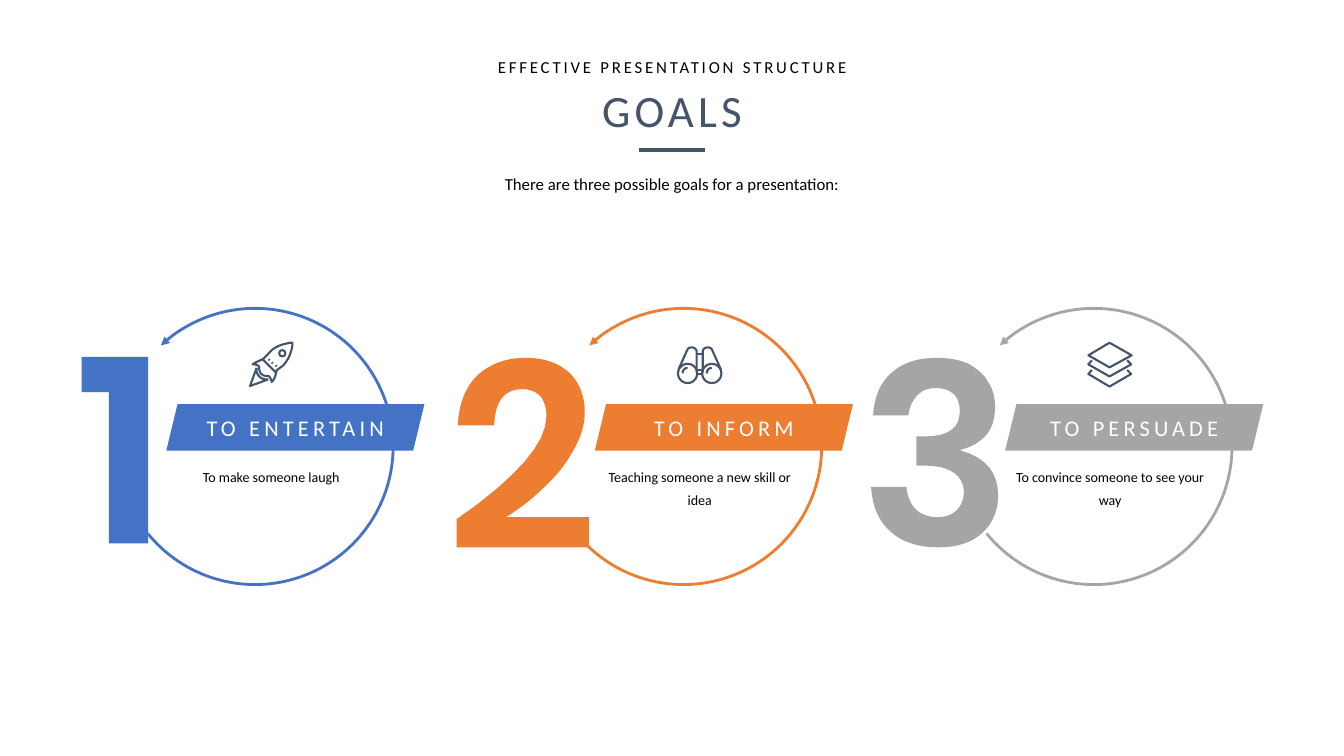
import pptx
import pptx.util
import pptx.dml.color
import pptx.enum.shapes
import pptx.enum.text
import pptx.oxml
import pptx.oxml.ns

PX = 9144  # EMU in one px, 100 px to the inch
FINE = 10  # outline units in one px
FONT = "Calibri"
BLACK, WHITE, NAVY = "000000", "FFFFFF", "44546A"

TITLE = "GOALS"
TOPIC = "EFFECTIVE PRESENTATION STRUCTURE"
INTRO = "There are three possible goals for a presentation:"

# Digit outlines in px, icon outlines in tenths of a px
ONE = "M 0 0 L 66 0 L 66 185 L 27 185 L 27 35 L 0 35 Z"
TWO = """M 68 0 C 87 0 101 5 112 15 C 122 25 127 38 127 54 C 127 67 123 80 115 93
C 108 106 98 118 86 129 C 75 140 62 150 49 158 L 131 158 L 131 188 L 0 188 L 0 160
C 59 119 89 85 89 58 C 89 50 87 43 83 38 C 79 34 73 31 65 31 C 47 31 38 43 37 67
L 1 67 C 2 45 9 28 21 17 C 33 6 49 0 68 0 Z"""
THREE = """M 65 0 C 77 0 88 2 97 6 C 105 11 112 16 116 24 C 121 31 123 40 123 49
C 123 60 120 70 114 77 C 107 84 99 89 89 91 L 89 92 C 114 99 126 114 126 136
C 126 151 121 164 111 173 C 101 183 86 188 67 188 C 47 188 31 183 20 173
C 8 163 1 148 0 128 L 35 128 C 36 137 39 145 44 150 C 49 155 56 158 66 158
C 74 158 80 156 85 151 C 89 147 92 141 92 133 C 92 125 88 118 82 114
C 75 109 65 107 53 107 L 45 107 L 45 78 L 53 78 C 76 78 88 70 88 53
C 88 46 86 40 82 36 C 77 32 72 30 64 30 C 57 30 51 32 46 37
C 41 42 38 49 37 57 L 2 57 C 3 39 9 25 20 15 C 31 5 46 0 65 0 Z"""
ROCKET = """M 440 10 C 390 10 270 40 220 100 C 200 125 170 155 145 175 L 270 300
C 290 275 325 255 350 235 C 420 160 445 50 440 10 Z
M 145 175 C 110 190 75 205 45 225 C 70 225 95 230 110 245 C 105 330 160 345 205 340
C 220 355 230 375 235 400 C 260 375 275 340 280 295
M 85 260 L 20 440 L 200 375 M 85 260 C 70 320 130 385 200 375
M 310 115 C 310 75 370 75 370 115 C 370 155 310 155 310 115 Z
M 205 175 L 215 185 M 235 205 L 245 215 M 275 235 L 285 245"""
GLASSES = """M 15 275 C 15 222 57 180 110 180 C 163 180 205 222 205 275
C 205 328 163 370 110 370 C 57 370 15 328 15 275 Z
M 255 275 C 255 222 297 180 350 180 C 403 180 445 222 445 275
C 445 328 403 370 350 370 C 297 370 255 328 255 275 Z
M 20 235 L 105 45 C 120 0 200 10 200 60 L 200 265
M 440 235 L 355 45 C 340 0 260 10 260 60 L 260 265
M 200 80 L 260 80 M 200 240 L 260 240 M 200 280 L 260 280
M 60 275 C 60 245 82 220 110 220 M 300 275 C 300 245 322 220 350 220"""
LAYERS = """M 225 10 L 445 135 L 225 255 L 15 135 Z
M 50 185 L 15 225 L 225 345 L 440 225 L 400 185
M 50 280 L 15 320 L 225 445 L 440 320 L 400 280"""

# label, note, colour, ring left, arc end, digit, digit left and top, icon, icon top
GOALS = [
    ("TO PERSUADE", "To convince someone to see your way", "A5A5A5",
     948, 84.585, THREE, (864, 355), LAYERS, 339),
    ("TO INFORM", "Teaching someone a new skill or idea", "ED7D31",
     541, 81.463, TWO, (453, 355), GLASSES, 343),
    ("TO ENTERTAIN", "To make someone laugh", "4472C4",
     116, 84.585, ONE, (81, 354), ROCKET, 339),
]


def color(code):
    return pptx.dml.color.RGBColor.from_string(code)


def emu(*sizes):
    return [size * PX for size in sizes]


def trace(data, zoom):
    """Turn outline text into (points, closed) strokes, with curves sampled."""
    parts = iter(data.split())
    strokes = []

    def pair():
        return int(next(parts)) * zoom, int(next(parts)) * zoom

    for mark in parts:
        if mark == "M":
            strokes.append([[pair()], False])
        elif mark == "L":
            strokes[-1][0].append(pair())
        elif mark == "C":
            points = strokes[-1][0]
            curve = [points[-1], pair(), pair(), pair()]
            for step in range(1, 9):
                t = step / 8
                mix = ((1 - t) ** 3, 3 * t * (1 - t) ** 2, 3 * t * t * (1 - t), t ** 3)
                points.append(tuple(sum(m * c for m, c in zip(mix, axis))
                                    for axis in zip(*curve)))
        else:
            strokes[-1][1] = True
    return strokes


def draw(data, zoom, left, top):
    strokes = trace(data, zoom)
    pen = slide.shapes.build_freeform(*strokes[0][0][0], scale=PX / FINE)
    for points, closed in strokes:
        pen.move_to(*points[0])
        pen.add_line_segments(points[1:], close=closed)
    shape = pen.convert_to_shape(*emu(left, top))
    shape.shadow.inherit = False
    return shape


def paint(shape, fill=None, line=None, width=1):
    if fill:
        shape.fill.solid()
        shape.fill.fore_color.rgb = color(fill)
    else:
        shape.fill.background()
    if line:
        shape.line.color.rgb = color(line)
        shape.line.width = pptx.util.Pt(width)
    else:
        shape.line.fill.background()


def preset(kind, box, *adjust):
    shape = slide.shapes.add_shape(kind, *emu(*box))
    shape.shadow.inherit = False
    for index, value in enumerate(adjust):
        shape.adjustments[index] = value
    return shape


def write(shape, text, size, ink, gap=0, lead=1.0, middle=False, inset=True):
    frame = shape.text_frame
    frame.word_wrap = True
    anchor = pptx.enum.text.MSO_ANCHOR
    frame.vertical_anchor = anchor.MIDDLE if middle else anchor.TOP
    if not inset:
        frame.margin_left = frame.margin_right = 0
        frame.margin_top = frame.margin_bottom = 0
    para = frame.paragraphs[0]
    para.text = text
    para.alignment = pptx.enum.text.PP_ALIGN.CENTER
    para.line_spacing = lead
    para.font.size = pptx.util.Pt(size)
    para.font.name = FONT
    para.font.color.rgb = color(ink)
    if gap:
        para.font._element.set("spc", str(gap * 100))


def textbox(box, *args, **style):
    shape = slide.shapes.add_textbox(*emu(*box))
    write(shape, *args, **style)


deck = pptx.Presentation()
deck.slide_width, deck.slide_height = emu(1333, 750)
slide = deck.slides.add_slide(deck.slide_layouts[5])
kinds = pptx.enum.shapes.MSO_SHAPE

# Goals
for label, note, tint, left, end, digit, place, icon, top in GOALS:
    paint(draw(digit, FINE, *place), fill=tint)

    ring = preset(kinds.ARC, (left, 306, 274, 274), 136.228, end)
    paint(ring, line=tint, width=2)
    head = pptx.oxml.parse_xml(
        '<a:headEnd %s type="triangle"/>' % pptx.oxml.ns.nsdecls("a"))
    ring.line._get_or_add_ln().append(head)

    bar = preset(kinds.PARALLELOGRAM, (left + 49, 401, 256, 46), 0.242)
    paint(bar, fill=tint)
    write(bar, label, 16, WHITE, gap=3, middle=True)

    textbox((left + 40, 454, 226, 88), note, 10, BLACK, lead=1.35)
    paint(draw(icon, 1, left + 130, top), line=NAVY, width=1.5)

# Heading
textbox((473, 43, 388, 50), TOPIC, 12, BLACK, gap=2, lead=0.9, middle=True, inset=False)

rule = slide.shapes.add_connector(
    pptx.enum.shapes.MSO_CONNECTOR.STRAIGHT, *emu(634, 149, 699, 149))
rule.line.color.rgb = color(NAVY)
rule.line.width = pptx.util.Pt(3)
rule._element.spPr.append(
    pptx.oxml.parse_xml("<a:effectLst %s/>" % pptx.oxml.ns.nsdecls("a")))

title = slide.shapes.title
title.left, title.top, title.width, title.height = emu(301, 82, 731, 54)
write(title, TITLE, 32, NAVY, gap=3, inset=False)
title.text_frame.auto_size = pptx.enum.text.MSO_AUTO_SIZE.NONE

textbox((322, 157, 689, 37), INTRO, 12, BLACK, lead=1.5)

deck.save("out.pptx")
